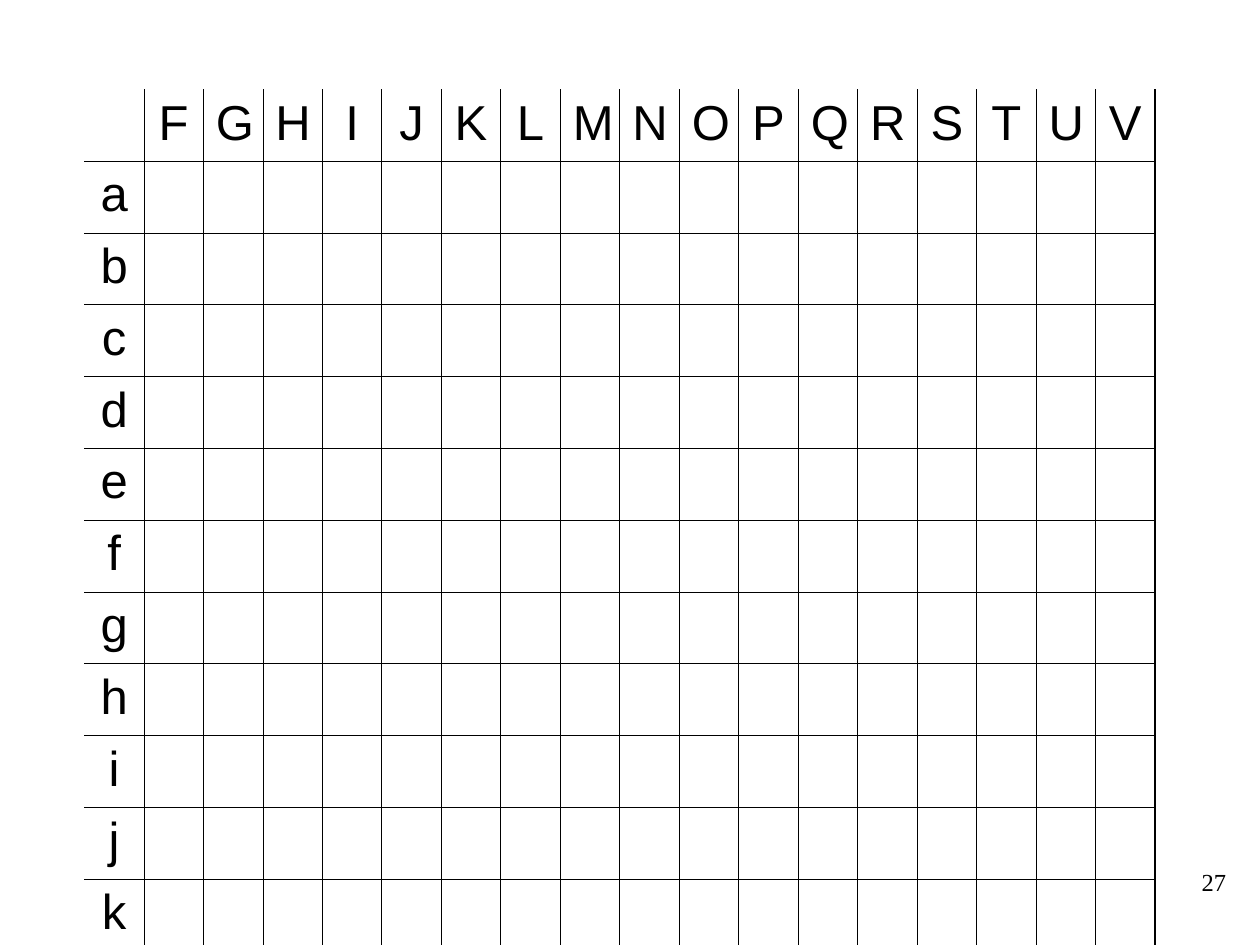
from pptx import Presentation
from pptx.dml.color import RGBColor
from pptx.enum import text
from pptx.oxml.ns import qn
from pptx.util import Inches, Pt
from lxml import etree

COLUMN_LABELS = list("FGHIJKLMNOPQRSTUV")
ROW_LABELS = list("abcdefghijk")
PAGE_NUMBER = "27"

THEME = {
    "ink": "000000",
    "label": ("Arial", 28),
    "number": ("Times New Roman", 14),
    "thin": 0.45,
    "thick": 1.08,
}
GRID_LEFT, GRID_TOP, GRID_WIDTH = 0.67, 0.71, 8.5
ROW_HEIGHT = 0.57


def write(frame, words, style, alignment):
    frame.text = words
    para = frame.paragraphs[0]
    para.alignment = alignment
    font = para.runs[0].font
    font.name, size = THEME[style]
    font.size = Pt(size)
    font.color.rgb = RGBColor.from_string(THEME["ink"])


def set_borders(cell, widths):
    properties = cell._tc.get_or_add_tcPr()
    for index, (side, width) in enumerate(widths.items()):
        line = etree.Element(qn(f"a:ln{side}"))
        if width:
            line.set("w", str(Pt(width)))
            fill = etree.SubElement(line, qn("a:solidFill"))
            etree.SubElement(fill, qn("a:srgbClr"), val=THEME["ink"])
        else:
            etree.SubElement(line, qn("a:noFill"))
        properties.insert(index, line)


def add_grid(page):
    labels = [[""] + COLUMN_LABELS]
    labels += [[name] + [""] * len(COLUMN_LABELS) for name in ROW_LABELS]
    row_count, column_count = len(labels), len(labels[0])
    table = page.shapes.add_table(
        row_count, column_count, Inches(GRID_LEFT), Inches(GRID_TOP),
        Inches(GRID_WIDTH), Inches(ROW_HEIGHT * row_count),
    ).table
    table.first_row = table.horz_banding = False
    for column in table.columns:
        column.width = Inches(GRID_WIDTH / column_count)
    thin, thick = THEME["thin"], THEME["thick"]
    for r, row in enumerate(labels):
        table.rows[r].height = Inches(ROW_HEIGHT)
        for c, label in enumerate(row):
            cell = table.cell(r, c)
            cell.fill.background()
            set_borders(cell, {
                "L": thin if c else None,
                "R": thick if c == column_count - 1 else thin,
                "T": thin if r else None,
                "B": thick if r == row_count - 1 else thin,
            })
            if label:
                write(cell.text_frame, label, "label", text.PP_ALIGN.CENTER)


def add_page_number(page):
    box = page.shapes.add_textbox(Inches(7.75), Inches(6.83), Inches(2.08), Inches(0.5))
    box.text_frame.word_wrap = True
    write(box.text_frame, PAGE_NUMBER, "number", text.PP_ALIGN.RIGHT)


def main():
    deck = Presentation()
    deck.slide_width, deck.slide_height = Inches(10), Inches(7.5)
    page = deck.slides.add_slide(deck.slide_layouts[6])
    add_grid(page)
    add_page_number(page)
    deck.save("out.pptx")


if __name__ == "__main__":
    main()
